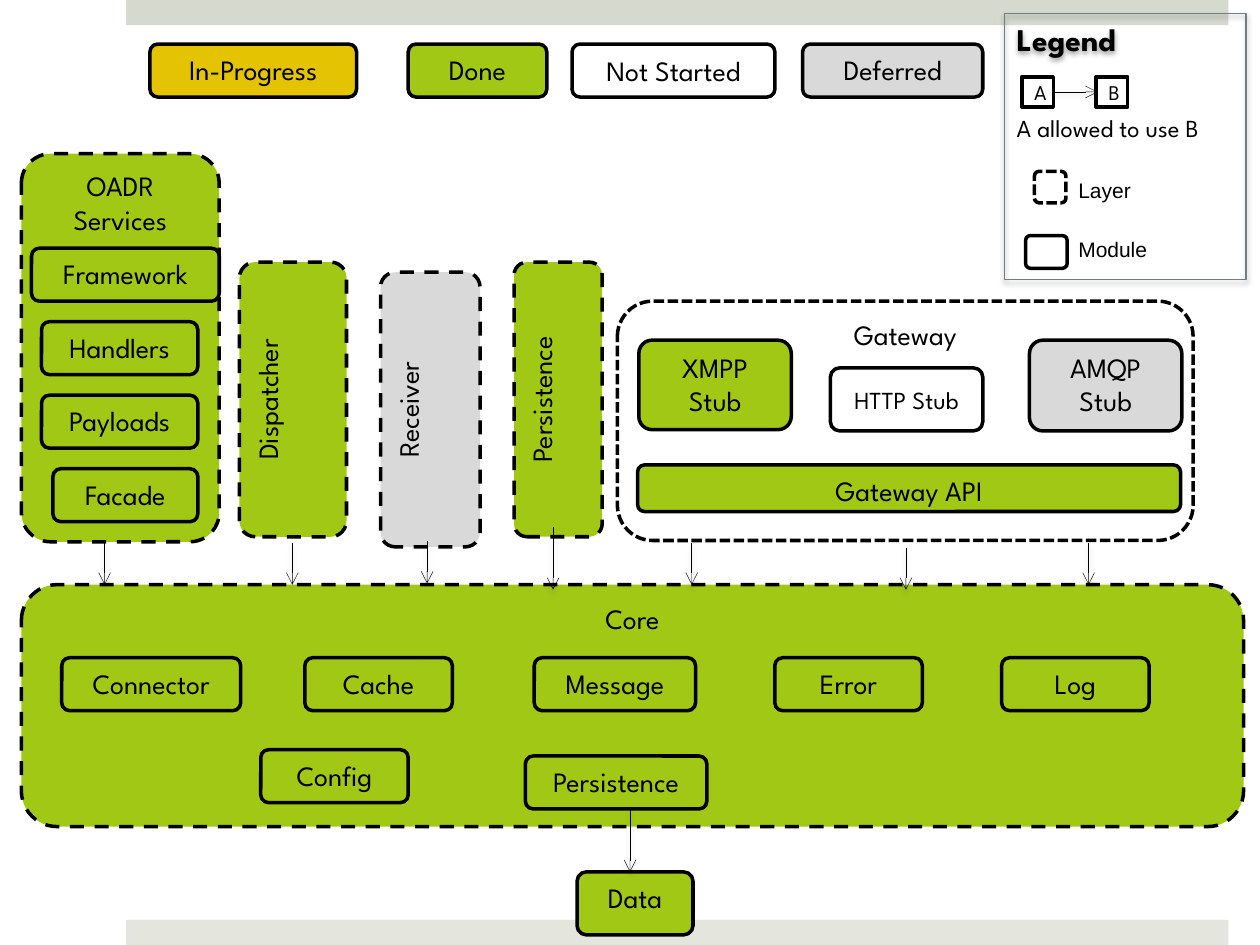
from lxml import etree
from pptx import Presentation
from pptx.dml.color import RGBColor
from pptx.enum.dml import MSO_LINE
from pptx.enum.shapes import MSO_CONNECTOR, MSO_SHAPE
from pptx.enum.text import MSO_ANCHOR, PP_ALIGN
from pptx.oxml.ns import qn
from pptx.util import Inches, Pt

RECT, ROUNDED = MSO_SHAPE.RECTANGLE, MSO_SHAPE.ROUNDED_RECTANGLE
DASH, SHORT_DASH = MSO_LINE.DASH, MSO_LINE.SQUARE_DOT
TOP, MIDDLE = MSO_ANCHOR.TOP, MSO_ANCHOR.MIDDLE
LEFT, CENTER = PP_ALIGN.LEFT, PP_ALIGN.CENTER
STRAIGHT = MSO_CONNECTOR.STRAIGHT

COLORS = {
    "done": "A2C816", "progress": "E4C402", "deferred": "D9D9D9",
    "open": "FFFFFF", "ink": "000000", "panel line": "727D82",
    "top band": "D6D9CD", "bottom band": "E4E6DE",
}
FONT, LABEL_FONT = "League Spartan", "Arial"
MODULE_HEIGHT = 0.42


def rgb(name):
    return RGBColor.from_string(COLORS[name])


def write(frame, text, size, font=FONT, align=LEFT, bold=False):
    frame.text = text
    for paragraph in frame.paragraphs:
        paragraph.alignment = align
        paragraph.font.size = Pt(size)
        paragraph.font.name = font
        paragraph.font.bold = bold
        paragraph.font.color.rgb = rgb("ink")


def add_box(slide, box, text="", fill="done", kind=ROUNDED, dash=None,
            size=16, anchor=TOP, align=CENTER, rotation=0):
    shape = slide.shapes.add_shape(kind, *map(Inches, box))
    shape.shadow.inherit = False
    shape.rotation = rotation
    if kind == ROUNDED:
        shape.adjustments[0] = 0.148
    shape.fill.solid()
    shape.fill.fore_color.rgb = rgb(fill)
    shape.line.color.rgb = rgb("ink")
    shape.line.width = Pt(2)
    if dash:
        shape.line.dash_style = dash
    shape.text_frame.word_wrap = True
    shape.text_frame.vertical_anchor = anchor
    if text:
        write(shape.text_frame, text, size, align=align)


def add_label(slide, box, text, size, font):
    label = slide.shapes.add_textbox(*map(Inches, box))
    label.text_frame.word_wrap = False
    write(label.text_frame, text, size, font)


def add_shadow(shape, opacity, distance):
    effects = etree.SubElement(shape._element.spPr, qn("a:effectLst"))
    shadow = etree.SubElement(
        effects, qn("a:outerShdw"), blurRad=str(Pt(3.1)),
        dist=str(Pt(distance)), dir="5400000", rotWithShape="0")
    color = etree.SubElement(shadow, qn("a:srgbClr"), val=COLORS["ink"])
    etree.SubElement(color, qn("a:alpha"), val=str(opacity * 1000))


def add_arrow(slide, x1, y1, x2, y2):
    arrow = slide.shapes.add_connector(STRAIGHT, *map(Inches, (x1, y1, x2, y2)))
    arrow.line.color.rgb = rgb("ink")
    arrow.line.width = Pt(0.25)
    etree.SubElement(arrow.line._get_or_add_ln(), qn("a:tailEnd"), type="arrow")
    add_shadow(arrow, 35, 1.8)


def add_bands(slide):
    for top, color in ((0, "top band"), (7.3, "bottom band")):
        band = slide.shapes.add_shape(
            RECT, Inches(1), Inches(top), Inches(8.75), Inches(0.2))
        band.shadow.inherit = False
        band.fill.solid()
        band.fill.fore_color.rgb = rgb(color)
        band.line.fill.background()


def add_status_key(slide, left, top):
    for text, fill, dx, width, anchor in (
            ("In-Progress", "progress", 0, 1.64, TOP),
            ("Done", "done", 2.05, 1.1, TOP),
            ("Not Started", "open", 3.35, 1.61, MIDDLE),
            ("Deferred", "deferred", 5.18, 1.43, TOP)):
        add_box(slide, (left + dx, top, width, MODULE_HEIGHT), text, fill,
                anchor=anchor)


def add_legend(slide, left, top, width, height):
    panel = slide.shapes.add_shape(
        RECT, *map(Inches, (left, top, width, height)))
    panel.fill.background()
    panel.line.color.rgb = rgb("panel line")
    panel.line.width = Pt(0.75)
    add_shadow(panel, 38, 1.6)
    panel.text_frame.vertical_anchor = TOP
    write(panel.text_frame, "Legend", 18, bold=True)

    for text, dx in (("A", 0.14), ("B", 0.73)):
        add_box(slide, (left + dx, top + 0.5, 0.25, 0.24), text, "open", RECT,
                size=12, anchor=MIDDLE, align=LEFT)
    add_arrow(slide, left + 0.39, top + 0.62, left + 0.74, top + 0.62)
    add_label(slide, (left, top + 0.74, 1.68, 0.34), "A allowed to use B",
              14, FONT)
    add_box(slide, (left + 0.24, top + 1.25, 0.25, 0.25), fill="open",
            dash=SHORT_DASH)
    add_box(slide, (left + 0.17, top + 1.76, 0.33, 0.26), fill="open")
    for text, dy, label_width in (("Layer", 1.25, 0.62), ("Module", 1.72, 0.75)):
        add_label(slide, (left + 0.49, top + dy, label_width, 0.3), text,
                  12, LABEL_FONT)


def add_services(slide, left, top, width, height):
    add_box(slide, (left, top, width, height), "OADR\nServices", dash=DASH)
    modules = (("Framework", 0.08, 1.49), ("Handlers", 0.16, 1.24),
               ("Payloads", 0.16, 1.24), ("Facade", 0.25, 1.15))
    for row, (text, dx, module_width) in enumerate(modules):
        add_box(slide, (left + dx, top + 0.75 + row * 1.75 / 3, module_width,
                        MODULE_HEIGHT), text)


def add_upright_layer(slide, left, top, width, height, text, fill="done"):
    """Place a layer whose text reads upwards; the box is as seen on the slide."""
    shift = (width - height) / 2
    add_box(slide, (left + shift, top - shift, height, width), text, fill,
            dash=DASH, rotation=270)


def add_gateway(slide, left, top, width, height):
    add_box(slide, (left, top, width, height), "Gateway", "open",
            dash=SHORT_DASH)
    add_box(slide, (left + 0.16, top + 1.3, 4.31, 0.37), "Gateway API")
    add_box(slide, (left + 0.17, top + 0.31, 1.21, 0.71), "XMPP Stub")
    add_box(slide, (left + 1.69, top + 0.53, 1.21, 0.5), "HTTP Stub", "open",
            size=14, anchor=MIDDLE)
    add_box(slide, (left + 3.27, top + 0.31, 1.21, 0.72), "AMQP Stub",
            "deferred")


def add_core(slide, left, top, width, height):
    add_box(slide, (left, top, width, height), "Core", dash=DASH)
    for text, dx, dy, module_width in (
            ("Connector", 0.32, 0.58, 1.42), ("Cache", 2.25, 0.58, 1.17),
            ("Message", 4.07, 0.58, 1.28), ("Error", 5.98, 0.58, 1.17),
            ("Log", 7.78, 0.58, 1.17), ("Config", 1.9, 1.31, 1.17),
            ("Persistence", 4, 1.36, 1.44)):
        add_box(slide, (left + dx, top + dy, module_width, MODULE_HEIGHT), text)


def add_uses(slide):
    """Draw the arrows from the layers to the core, and on to the data."""
    for x, start, end in ((0.83, 4.31, 4.64), (2.32, 4.31, 4.64),
                          (3.39, 4.29, 4.63), (4.39, 4.18, 4.68),
                          (5.49, 4.31, 4.64), (7.19, 4.35, 4.68),
                          (8.64, 4.31, 4.64), (5, 6.43, 6.92)):
        add_arrow(slide, x, start, x, end)


def main():
    prs = Presentation()
    prs.slide_width, prs.slide_height = Inches(10), Inches(7.5)
    slide = prs.slides.add_slide(prs.slide_layouts[6])
    add_bands(slide)
    add_core(slide, 0.17, 4.64, 9.7, 1.92)
    add_legend(slide, 7.97, 0.11, 1.92, 2.11)
    add_gateway(slide, 4.9, 2.39, 4.57, 1.9)
    add_services(slide, 0.17, 1.22, 1.57, 3.08)
    add_upright_layer(slide, 1.9, 2.08, 0.85, 2.18, "Dispatcher")
    add_upright_layer(slide, 3.02, 2.16, 0.79, 2.18, "Receiver", "deferred")
    add_upright_layer(slide, 4.08, 2.08, 0.7, 2.18, "Persistence")
    add_box(slide, (4.58, 6.92, 0.92, 0.5), "Data")
    add_status_key(slide, 1.19, 0.35)
    add_uses(slide)
    prs.save("out.pptx")


if __name__ == "__main__":
    main()
